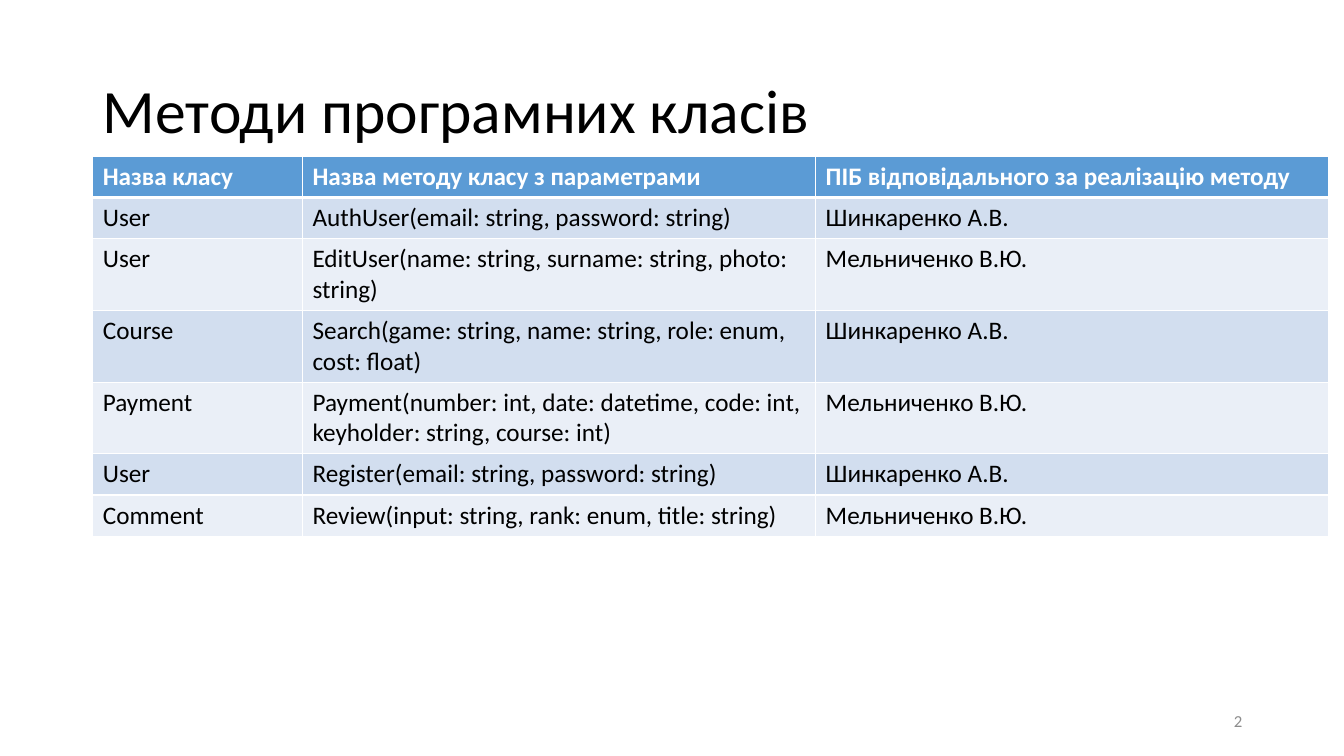
from lxml import etree
from pptx import Presentation
from pptx import util as u
from pptx.dml.color import RGBColor
from pptx.enum import text
from pptx.oxml import ns

BLACK = RGBColor(0x00, 0x00, 0x00)
WHITE = RGBColor(0xFF, 0xFF, 0xFF)
GRAY = RGBColor(0x8C, 0x8C, 0x8C)
HEADER_BLUE = RGBColor(0x5B, 0x9B, 0xD5)
BANDS = (RGBColor(0xEA, 0xEF, 0xF7), RGBColor(0xD2, 0xDE, 0xEF))

FIRST_PERSON = "Шинкаренко А.В."
SECOND_PERSON = "Мельниченко В.Ю."
METHODS = [
    ("Назва класу", "Назва методу класу з параметрами",
     "ПІБ відповідального за реалізацію методу"),
    ("User", "AuthUser(email: string, password: string)", FIRST_PERSON),
    ("User", "EditUser(name: string, surname: string, photo: string)", SECOND_PERSON),
    ("Course", "Search(game: string, name: string, role: enum, cost: float)", FIRST_PERSON),
    ("Payment", "Payment(number: int, date: datetime, code: int, "
     "keyholder: string, course: int)", SECOND_PERSON),
    ("User", "Register(email: string, password: string)", FIRST_PERSON),
    ("Comment", "Review(input: string, rank: enum, title: string)", SECOND_PERSON),
]
COLUMN_WIDTHS = (2.08, 5.09, 5.09)
ROW_HEIGHT = 0.41


def set_values(target, values):
    """Set each attribute named in the dict of format values."""
    for name, value in values.items():
        setattr(target, name, value)


def write_text(frame, words, size, color, bold=False, **para_format):
    """Fill a text frame with one formatted paragraph."""
    para = frame.paragraphs[0]
    set_values(para, para_format)
    span = para.add_run()
    span.text = words
    set_values(span.font, {"name": "Calibri", "size": u.Pt(size), "bold": bold})
    span.font.color.rgb = color


def place(box, left, top, width, height):
    """Move and size a box, in inches."""
    set_values(box, {"left": u.Inches(left), "top": u.Inches(top),
                     "width": u.Inches(width), "height": u.Inches(height)})


def add_title(page, words):
    """Fill the title placeholder."""
    box = page.shapes.title
    place(box, 0.92, 0.4, 11.5, 1.45)
    set_values(box.text_frame, {"word_wrap": True,
                                "auto_size": text.MSO_AUTO_SIZE.NONE,
                                "vertical_anchor": text.MSO_ANCHOR.MIDDLE})
    write_text(box.text_frame, words, 44, BLACK,
               alignment=text.PP_ALIGN.LEFT, line_spacing=0.9)


def add_borders(cell, bottom_width):
    """Draw white lines on the four sides of a cell."""
    properties = cell._tc.get_or_add_tcPr()
    for side, width in (("L", 1), ("R", 1), ("T", 1), ("B", bottom_width)):
        line = etree.SubElement(properties, ns.qn(f"a:ln{side}"), w=str(u.Pt(width)))
        fill = etree.SubElement(line, ns.qn("a:solidFill"))
        etree.SubElement(fill, ns.qn("a:srgbClr"), val=str(WHITE))


def add_method_table(page):
    """Add the table of class methods with a header and banded rows."""
    table = page.shapes.add_table(
        len(METHODS), len(COLUMN_WIDTHS), u.Inches(0.92), u.Inches(1.55),
        u.Inches(sum(COLUMN_WIDTHS)), u.Inches(ROW_HEIGHT * len(METHODS))).table
    for column, width in zip(table.columns, COLUMN_WIDTHS):
        column.width = u.Inches(width)
    for row_index, values in enumerate(METHODS):
        header = row_index == 0
        for column_index, words in enumerate(values):
            cell = table.cell(row_index, column_index)
            add_borders(cell, 3 if header else 1)
            cell.fill.solid()
            cell.fill.fore_color.rgb = HEADER_BLUE if header else BANDS[row_index % 2]
            write_text(cell.text_frame, words, 18, WHITE if header else BLACK, header)


def add_page_number(page, number):
    """Add the page number at the lower right."""
    box = page.shapes.add_textbox(u.Inches(9.42), u.Inches(6.95),
                                  u.Inches(3), u.Inches(0.4))
    set_values(box.text_frame, {"word_wrap": True,
                                "vertical_anchor": text.MSO_ANCHOR.MIDDLE})
    write_text(box.text_frame, number, 12, GRAY, alignment=text.PP_ALIGN.RIGHT)


def main():
    """Build the slide and save the deck."""
    deck = Presentation()
    set_values(deck, {"slide_width": u.Inches(13.33), "slide_height": u.Inches(7.5)})
    page = deck.slides.add_slide(deck.slide_layouts.get_by_name("Title Only"))
    add_title(page, "Методи програмних класів")
    add_method_table(page)
    add_page_number(page, "2")
    deck.save("out.pptx")


main()
